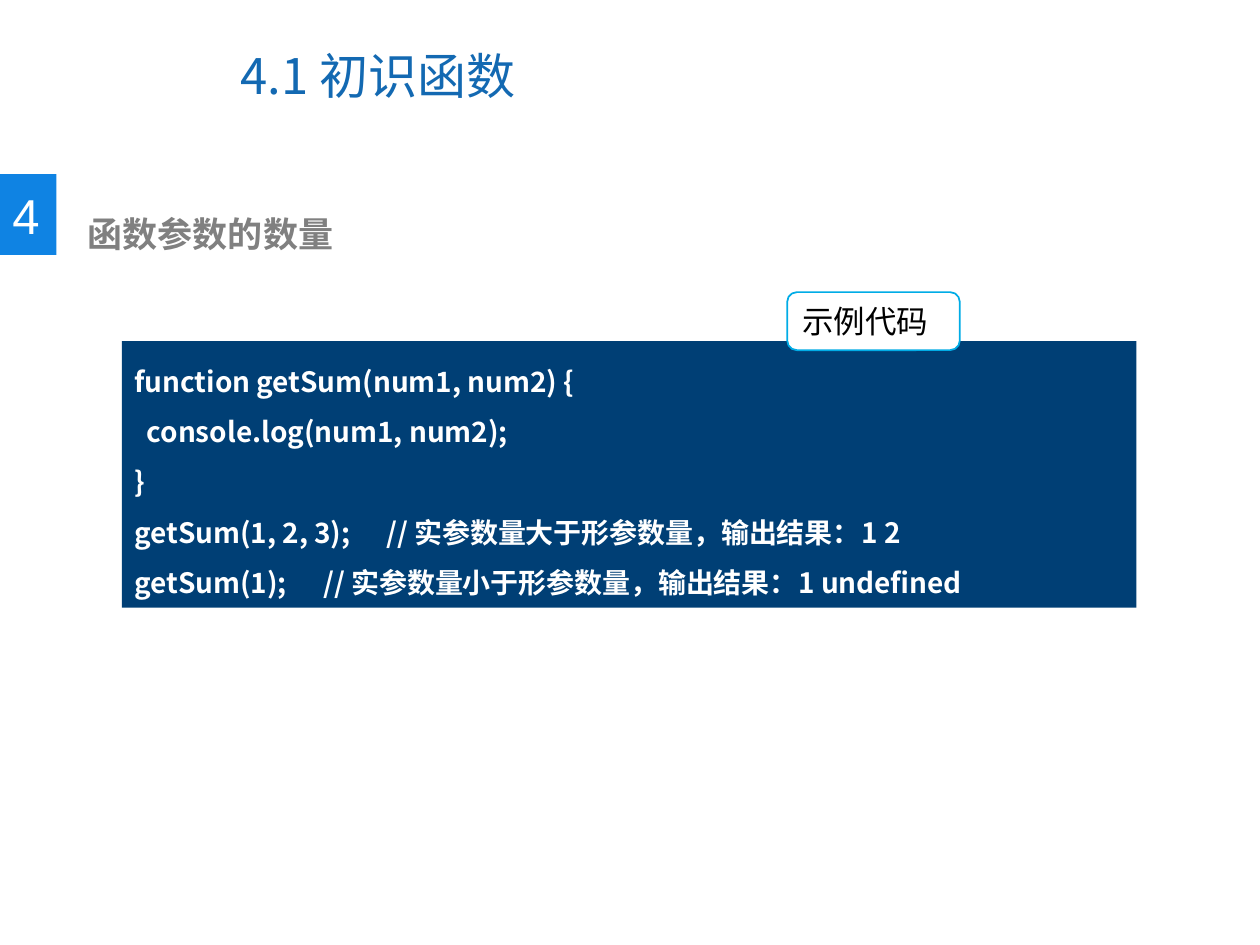
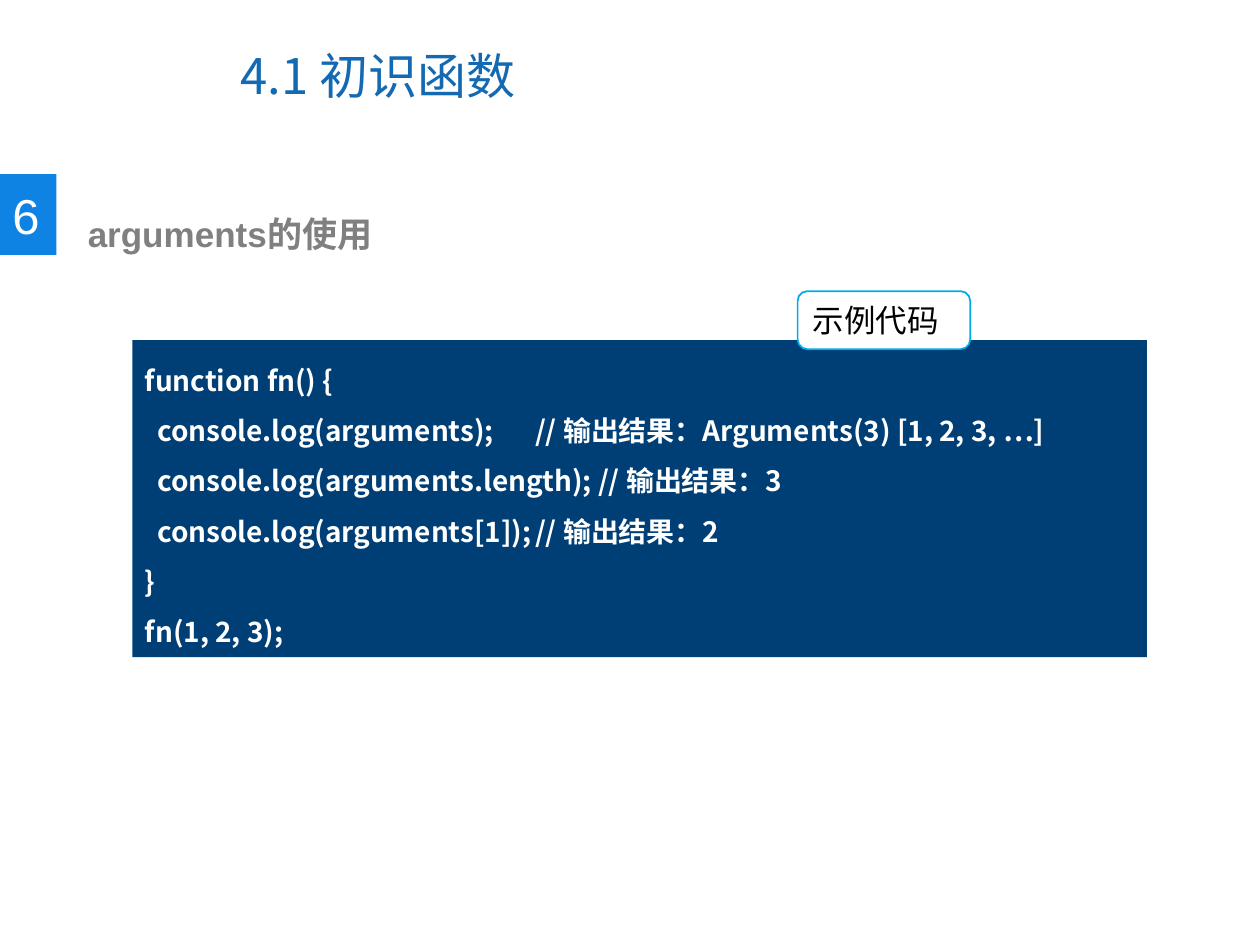
import pptx
import pptx.util
from lxml import etree
from pptx.dml.color import RGBColor
from pptx.enum.shapes import MSO_SHAPE
from pptx.enum.text import MSO_ANCHOR, PP_ALIGN
from pptx.oxml.ns import qn
from pptx.util import Cm

WHITE = RGBColor(0xFF, 0xFF, 0xFF)
BLACK = RGBColor(0x00, 0x00, 0x00)
GREY = RGBColor(0x80, 0x80, 0x80)
TITLE_BLUE = RGBColor(0x13, 0x69, 0xB2)
NUMBER_BLUE = RGBColor(0x0F, 0x83, 0xE3)
CODE_NAVY = RGBColor(0x00, 0x3F, 0x75)
LABEL_CYAN = RGBColor(0x00, 0xAC, 0xE6)

LATIN_FONT = "Arial"
CODE_FONT = "Noto Sans CJK SC"
CODE_INDENT = 0.25
LINE_HEIGHT = 1.02
PANEL_PADDING = 0.27

LESSONS = [
    {
        "number": "4",
        "heading": "函数参数的数量",
        "panel": (2.46, 6.88),
        "code": [
            (0, "function getSum(num1, num2) {", None),
            (1, "console.log(num1, num2);", None),
            (0, "}", None),
            (0, "getSum(1, 2, 3);\t// 实参数量大于形参数量，输出结果：1 2", 5.1),
            (0, "getSum(1);\t// 实参数量小于形参数量，输出结果：1 undefined", 4.5),
        ],
    },
    {
        "number": "6",
        "heading": "arguments的使用",
        "panel": (2.67, 6.86),
        "code": [
            (0, "function fn() {", None),
            (1, "console.log(arguments);\t// 输出结果：Arguments(3) [1, 2, 3, …]", 7.87),
            (1, "console.log(arguments.length);\t// 输出结果：3", 9.3),
            (1, "console.log(arguments[1]);\t// 输出结果：2", 8.95),
            (0, "}", None),
            (0, "fn(1, 2, 3);", None),
        ],
    },
]


def format_span(span, size, colour, font=LATIN_FONT, bold=False):
    span.font.size = pptx.util.Pt(size)
    span.font.color.rgb = colour
    span.font.name = font
    span.font.bold = bold
    east_asian = etree.SubElement(span.font._element, qn("a:ea"))
    east_asian.set("typeface", CODE_FONT)


def set_line(para, text, size, colour, font=LATIN_FONT, bold=False):
    para.text = text
    para.alignment = PP_ALIGN.LEFT
    for span in para.runs:
        format_span(span, size, colour, font, bold)


def indent_line(para, length):
    properties = para._p.get_or_add_pPr()
    properties.set("marL", str(Cm(length)))
    properties.set("indent", "0")


def add_tab_stop(para, position):
    tab_list = etree.SubElement(para._p.get_or_add_pPr(), qn("a:tabLst"))
    etree.SubElement(tab_list, qn("a:tab"), pos=str(Cm(position)), algn="l")


def add_text_box(page, left, top, width, height):
    box = page.shapes.add_textbox(Cm(left), Cm(top), Cm(width), Cm(height))
    box.text_frame.word_wrap = True
    return box


def add_block(page, preset, left, top, width, height, fill, line=None):
    block = page.shapes.add_shape(preset, Cm(left), Cm(top), Cm(width), Cm(height))
    block.shadow.inherit = False
    block.fill.solid()
    block.fill.fore_color.rgb = fill
    if line is None:
        block.line.fill.background()
    else:
        block.line.color.rgb = line
        block.line.width = pptx.util.Pt(1)
    block.text_frame.word_wrap = True
    return block


def add_title(page, left, top, width, height):
    frame = add_text_box(page, left, top, width, height).text_frame
    frame.vertical_anchor = MSO_ANCHOR.MIDDLE
    para = frame.paragraphs[0]
    for text, font in (("4.1 ", CODE_FONT), ("初识函数", LATIN_FONT)):
        span = para.add_run()
        span.text = text
        format_span(span, 28, TITLE_BLUE, font)


def add_section_heading(page, left, top, number, heading):
    marker = add_block(page, MSO_SHAPE.RECTANGLE, left, top, 1.14, 1.63, NUMBER_BLUE)
    marker.text_frame.vertical_anchor = MSO_ANCHOR.TOP
    marker.text_frame.margin_top = Cm(0.23)
    set_line(marker.text_frame.paragraphs[0], number, 28, WHITE)

    box = add_text_box(page, left + 1.19, top + 0.64, 13.06, 1.12)
    para = box.text_frame.paragraphs[0]
    set_line(para, heading, 20, GREY, bold=True)
    indent_line(para, 0.33)


def add_code_panel(page, left, top, code):
    height = len(code) * LINE_HEIGHT + PANEL_PADDING
    panel = add_block(page, MSO_SHAPE.RECTANGLE, left, top, 20.45, height, CODE_NAVY)
    frame = panel.text_frame
    frame.vertical_anchor = MSO_ANCHOR.TOP
    for index, (depth, text, tab_stop) in enumerate(code):
        para = frame.paragraphs[0] if index == 0 else frame.add_paragraph()
        set_line(para, text, 16, WHITE, CODE_FONT, bold=True)
        para.line_spacing = 1.5
        indent_line(para, depth * CODE_INDENT)
        if tab_stop is not None:
            add_tab_stop(para, tab_stop)

    label = add_block(page, MSO_SHAPE.ROUNDED_RECTANGLE, left + 13.41, top - 0.99,
                      3.48, 1.17, WHITE, LABEL_CYAN)
    label.text_frame.vertical_anchor = MSO_ANCHOR.MIDDLE
    set_line(label.text_frame.paragraphs[0], "示例代码", 18, BLACK)


def add_lesson(deck, lesson):
    page = deck.slides.add_slide(deck.slide_layouts[6])
    add_title(page, 4.6, 0.43, 13.11, 2.16)
    add_section_heading(page, 0, 3.51, lesson["number"], lesson["heading"])
    add_code_panel(page, *lesson["panel"], lesson["code"])


def main():
    deck = pptx.Presentation()
    deck.slide_width = Cm(25.4)
    deck.slide_height = Cm(19.05)
    for lesson in LESSONS:
        add_lesson(deck, lesson)
    deck.save("out.pptx")


if __name__ == "__main__":
    main()
